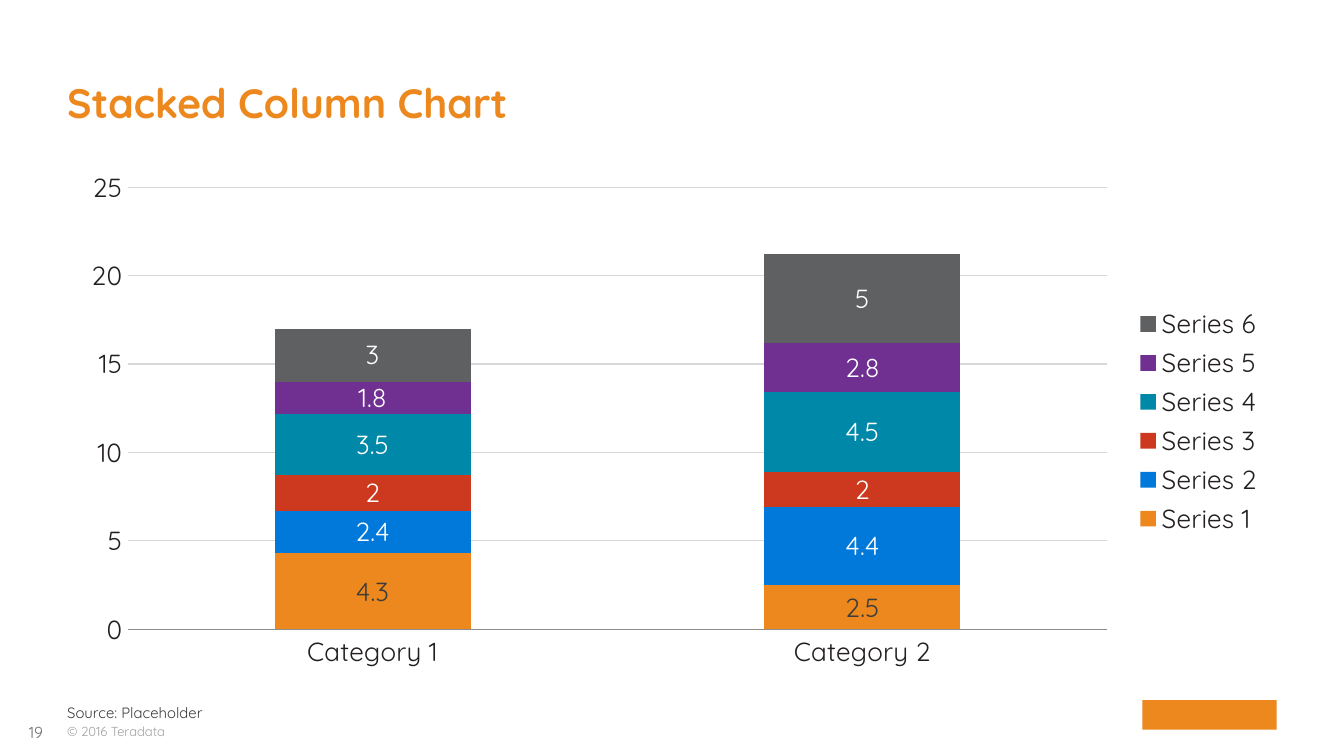
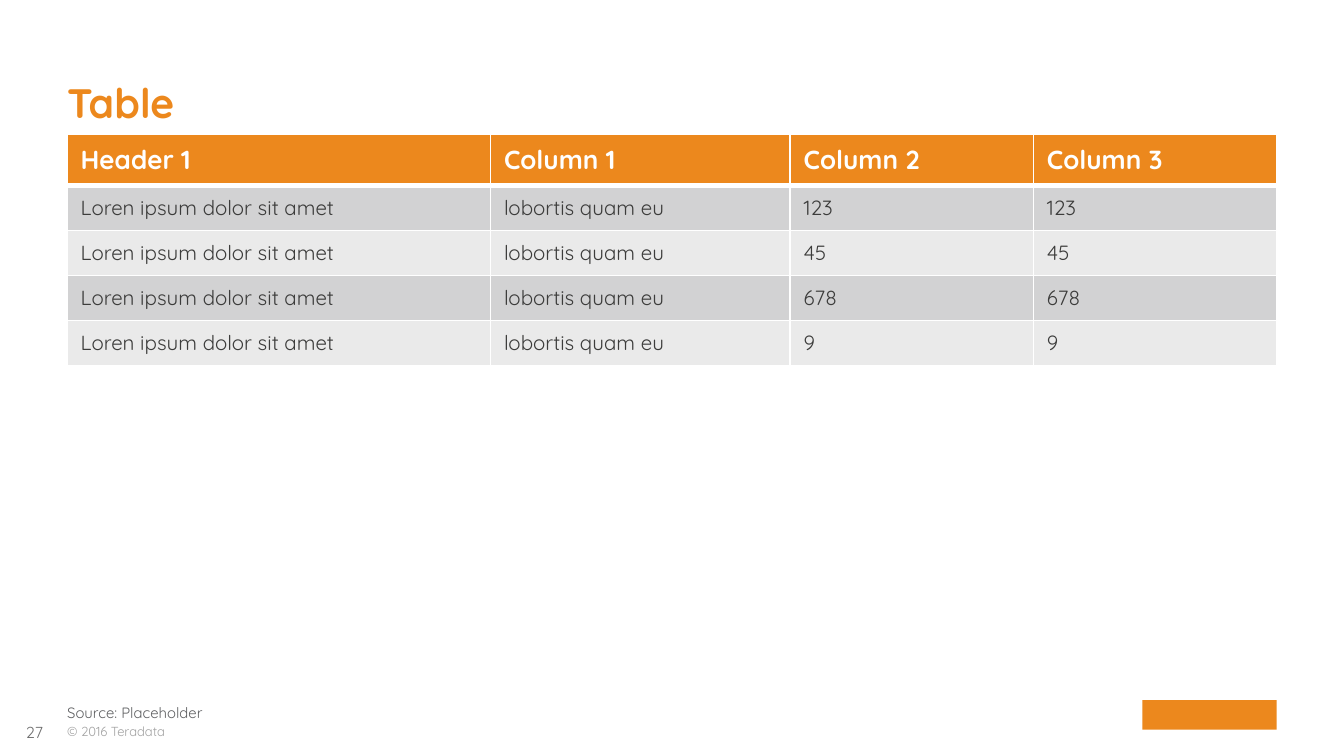
from lxml.etree import SubElement
from pptx import Presentation
from pptx.chart.data import CategoryChartData
from pptx.dml.color import RGBColor
from pptx.enum.chart import XL_CHART_TYPE, XL_LABEL_POSITION, XL_LEGEND_POSITION, XL_TICK_MARK
from pptx.enum.shapes import MSO_SHAPE
from pptx.enum.text import MSO_ANCHOR, MSO_AUTO_SIZE, PP_ALIGN
from pptx.oxml.ns import qn
from pptx.util import Inches, Pt

FONT = "Quicksand"
ORANGE, WHITE, INK, SLATE = "EC881D", "FFFFFF", "3C3C3B", "5F6062"
BLACK, NUMBER_GRAY, COPYRIGHT_GRAY = "231F20", "6C6C6C", "A2A2A2"
GRID_GRAY, AXIS_GRAY = "D8D8D8", "8C8C8C"
BANDS = ["D2D2D3", "EAEAEA"]
LEFT, WIDTH = 0.5, 9


def rgb(color):
    return RGBColor.from_string(color)


def style_font(font, size, color, bold=False):
    font.name = FONT
    font.size = Pt(size)
    font.bold = bold
    font.color.rgb = rgb(color)


class Deck:
    def __init__(self):
        self.prs = Presentation()
        self.prs.slide_width = Inches(10)
        self.prs.slide_height = Inches(10 * 9 / 16)
        self.s = None

    def slide(self, title, number, source_color):
        self.s = self.prs.slides.add_slide(self.prs.slide_layouts[5])
        self.title(title)
        self.text(number, (0.17, 5.38, 0.15, 0.14), 8.5, NUMBER_GRAY,
                  MSO_ANCHOR.TOP, PP_ALIGN.RIGHT, wrap=False)
        self.text("Source: Placeholder", (LEFT, 5.24, WIDTH, 0.13), 8, source_color, MSO_ANCHOR.BOTTOM)
        self.text("© 2016 Teradata", (LEFT, 5.38, 1.84, 0.12), 7, COPYRIGHT_GRAY, MSO_ANCHOR.MIDDLE)
        self.logo_block()

    def frame(self, sp, anchor, auto_size, wrap=True):
        tf = sp.text_frame
        tf.margin_left = tf.margin_top = tf.margin_right = tf.margin_bottom = 0
        tf.vertical_anchor = anchor
        tf.auto_size = auto_size
        tf.word_wrap = wrap
        return tf.paragraphs[0]

    def run(self, p, text, size, color, bold=False):
        r = p.add_run()
        r.text = text
        style_font(r.font, size, color, bold)

    def title(self, text):
        sp = self.s.shapes.title
        sp.left, sp.top, sp.width, sp.height = map(Inches, (LEFT, 0.18, WIDTH, 0.77))
        p = self.frame(sp, MSO_ANCHOR.BOTTOM, MSO_AUTO_SIZE.NONE)
        p.alignment = PP_ALIGN.LEFT
        p.line_spacing = 0.95
        self.run(p, text, 22, ORANGE, bold=True)

    def text(self, text, box, size, color, anchor, align=PP_ALIGN.LEFT, wrap=True):
        sp = self.s.shapes.add_textbox(*map(Inches, box))
        p = self.frame(sp, anchor, MSO_AUTO_SIZE.SHAPE_TO_FIT_TEXT, wrap)
        p.alignment = align
        self.run(p, text, size, color)

    def logo_block(self):
        sp = self.s.shapes.add_shape(MSO_SHAPE.RECTANGLE, *map(Inches, (8.5, 5.21, 1, 0.22)))
        sp.shadow.inherit = False
        sp.fill.solid()
        sp.fill.fore_color.rgb = rgb(ORANGE)
        sp.line.fill.background()

    def stacked_columns(self, box, categories, series):
        data = CategoryChartData()
        data.categories = categories
        for i, (values, _, _) in enumerate(series, 1):
            data.add_series(f"Series {i}", values)
        chart = self.s.shapes.add_chart(XL_CHART_TYPE.COLUMN_STACKED, *map(Inches, box), data).chart
        chart.has_title = False
        style_font(chart.font, 14, BLACK)
        chart.has_legend = True
        chart.legend.position = XL_LEGEND_POSITION.RIGHT
        chart.legend.include_in_layout = False

        plot = chart.plots[0]
        plot.gap_width, plot.overlap = 150, 100
        plot.vary_by_categories = False
        for ser, (_, fill, label_color) in zip(plot.series, series):
            ser.format.fill.solid()
            ser.format.fill.fore_color.rgb = rgb(fill)
            labels = ser.data_labels
            labels.show_value = True
            labels.position = XL_LABEL_POSITION.CENTER
            style_font(labels.font, 14, label_color)

        for axis in (chart.category_axis, chart.value_axis):
            axis.major_tick_mark = axis.minor_tick_mark = XL_TICK_MARK.NONE
        chart.category_axis.format.line.color.rgb = rgb(AXIS_GRAY)
        axis = chart.value_axis
        axis.minimum_scale, axis.maximum_scale, axis.major_unit = 0, 25, 5
        axis.format.line.fill.background()
        axis.major_gridlines.format.line.color.rgb = rgb(GRID_GRAY)
        axis.major_gridlines.format.line.width = Pt(0.75)
        self.plot_layout(chart, x=0.05, y=0.05, w=0.81, h=0.85)

    def plot_layout(self, chart, **fractions):
        area = chart.element.find(".//" + qn("c:plotArea"))
        for old in area.findall(qn("c:layout")):
            area.remove(old)
        layout = SubElement(area, qn("c:layout"))
        area.insert(0, layout)
        manual = SubElement(layout, qn("c:manualLayout"))
        modes = {"layoutTarget": "inner", "xMode": "edge", "yMode": "edge"}
        for tag, value in {**modes, **fractions}.items():
            SubElement(manual, qn(f"c:{tag}")).set("val", str(value))

    def table(self, box, widths, header_height, rows):
        table = self.s.shapes.add_table(len(rows), len(widths), *map(Inches, box)).table
        table.horz_banding = False
        for column, width in zip(table.columns, widths):
            column.width = Inches(width)
        body_height = (box[3] - header_height) / (len(rows) - 1)
        for i, row in enumerate(rows):
            table.rows[i].height = Inches(body_height if i else header_height)
            for j, text in enumerate(row):
                self.cell(table.cell(i, j), text, i, j)

    def cell(self, cell, text, i, j):
        header = i == 0
        cell.margin_left = cell.margin_right = Inches(0.1)
        cell.margin_top = cell.margin_bottom = Inches(0.07)
        cell.vertical_anchor = MSO_ANCHOR.MIDDLE if i and j > 1 else MSO_ANCHOR.TOP
        self.borders(cell, top=3 if i == 1 else 1, bottom=3 if header else 1)
        cell.fill.solid()
        cell.fill.fore_color.rgb = rgb(ORANGE if header else BANDS[(i - 1) % 2])
        p = cell.text_frame.paragraphs[0]
        self.run(p, text, 14 if header else 11, WHITE if header else INK, header)

    def borders(self, cell, top, bottom):
        tcPr = cell._tc.get_or_add_tcPr()
        for side, width in (("L", 1), ("R", 1), ("T", top), ("B", bottom)):
            ln = SubElement(tcPr, qn(f"a:ln{side}"), w=str(Pt(width)))
            SubElement(SubElement(ln, qn("a:solidFill")), qn("a:srgbClr"), val=WHITE)


def main():
    deck = Deck()

    deck.slide("Stacked Column Chart", "19", INK)
    deck.stacked_columns((LEFT, 1.2, WIDTH, 3.87), ["Category 1", "Category 2"], [
        ((4.3, 2.5), ORANGE, INK),
        ((2.4, 4.4), "0079DB", WHITE),
        ((2, 2), "CD391F", WHITE),
        ((3.5, 4.5), "0088A8", WHITE),
        ((1.8, 2.8), "703092", WHITE),
        ((3, 5), SLATE, WHITE),
    ])

    deck.slide("Table", "27", SLATE)
    rows = [["Header 1", "Column 1", "Column 2", "Column 3"]]
    rows += [["Loren ipsum dolor sit amet", "lobortis quam eu", n, n] for n in ("123", "45", "678", "9")]
    deck.table((LEFT, 1, WIDTH, 1.72), [3.15, 2.23, 1.81, 1.81], 0.38, rows)

    deck.prs.save("out.pptx")


if __name__ == "__main__":
    main()
